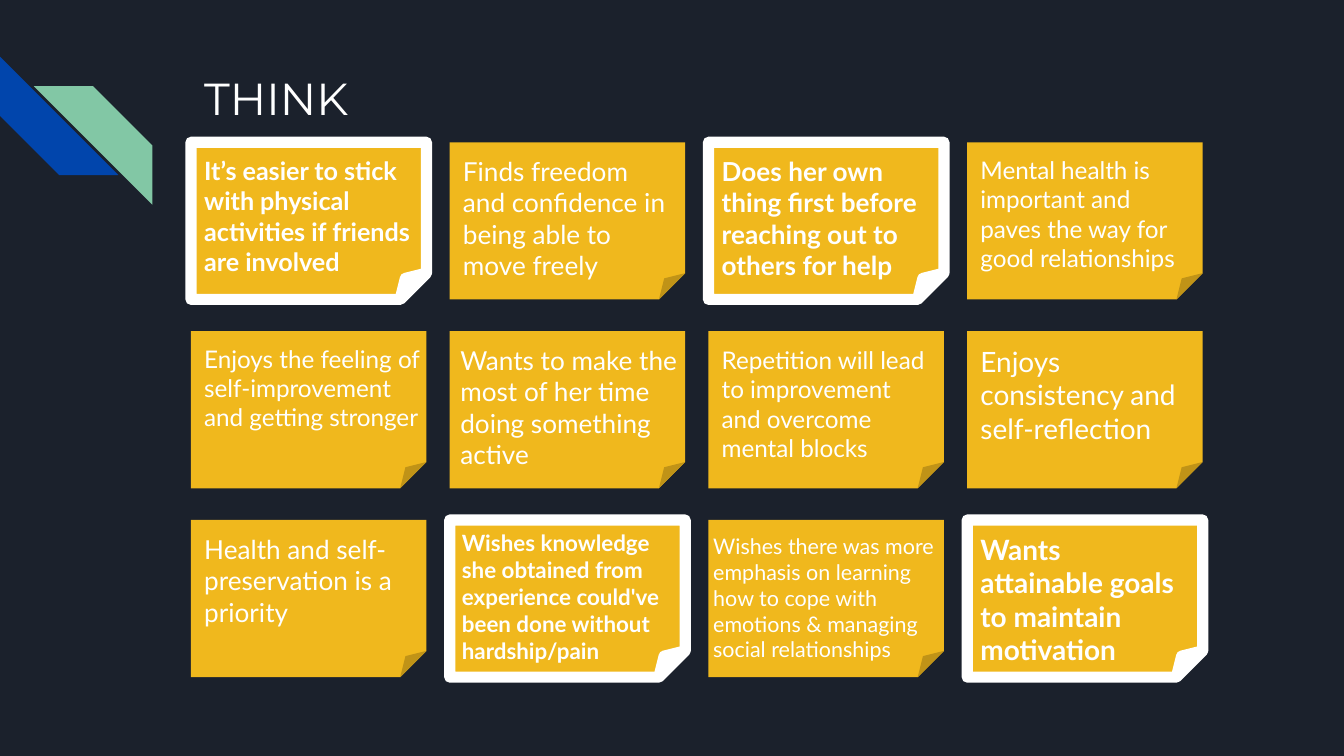
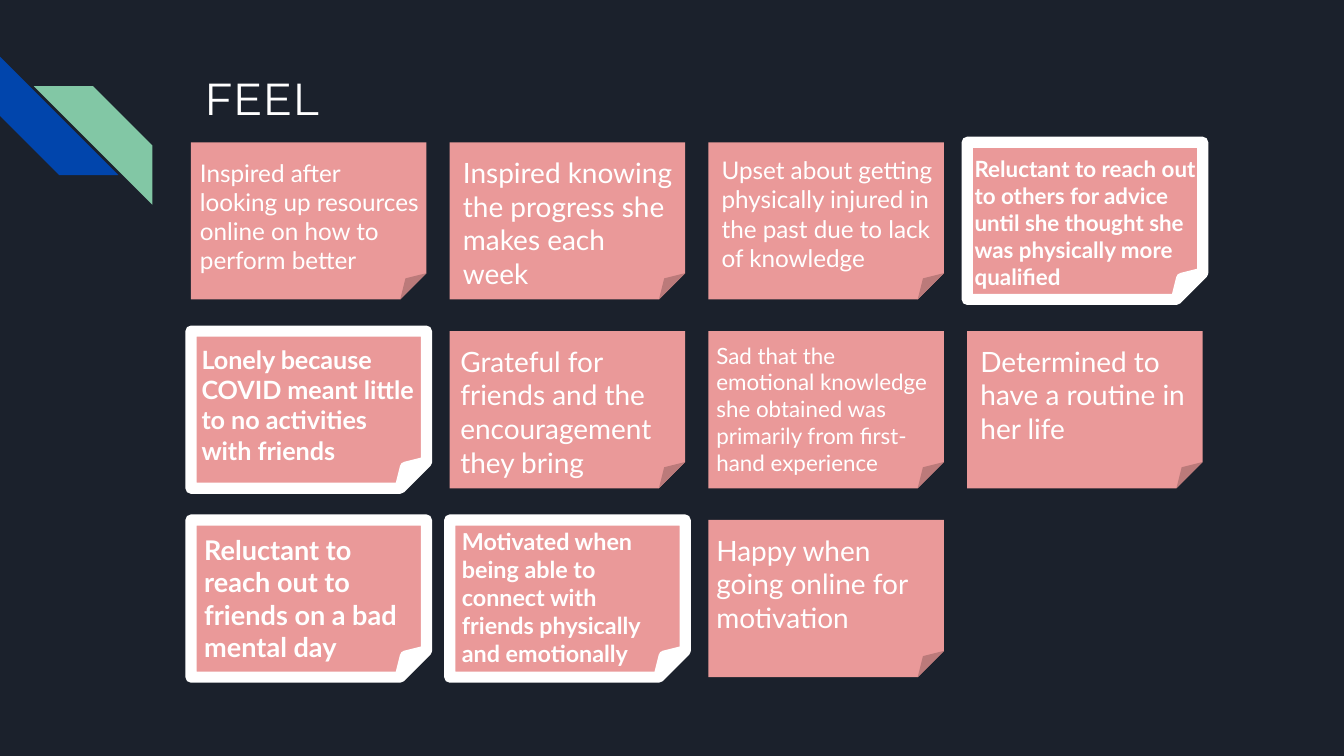
import dataclasses

import lxml.etree
import pptx
import pptx.dml.color
import pptx.enum.shapes
import pptx.enum.text
import pptx.oxml.ns
import pptx.util

Cm = pptx.util.Cm
Pt = pptx.util.Pt
Shape = pptx.enum.shapes.MSO_SHAPE
qn = pptx.oxml.ns.qn


@dataclasses.dataclass(frozen=True)
class Theme:
    background: str = "1B212C"
    text: str = "FFFFFF"
    blue: str = "0145AC"
    green: str = "82C7A5"
    think: str = "F0B81D"
    feel: str = "EA9999"
    title_font: str = "Montserrat"
    note_font: str = "Lato"
    title_size: float = 24
    outline: float = 6


@dataclasses.dataclass(frozen=True)
class Note:
    text: str
    size: float
    lines: int
    key: bool = False
    dx: float = 0
    dy: float = 0
    width: float = 4.45


class Board:
    left, top = 3.61, 2.69
    step_x, step_y = 4.89, 3.57
    note_width, note_height = 4.45, 2.97
    columns = 4
    inset = 0.25

    def __init__(self, theme):
        self.theme = theme
        self.deck = pptx.Presentation()
        self.deck.slide_width = Cm(25.4)
        self.deck.slide_height = Cm(14.29)
        self.page = None

    def color(self, value):
        return pptx.dml.color.RGBColor.from_string(value)

    def add_page(self, title, fill, notes):
        self.page = self.deck.slides.add_slide(self.deck.slide_layouts[6])
        background = self.page.background.fill
        background.solid()
        background.fore_color.rgb = self.color(self.theme.background)
        self.stripes()
        self.text(self.page.shapes, title, (self.left, 1.09, 3.35, 1.78),
                  self.theme.title_font, self.theme.title_size)
        for index, note in enumerate(notes):
            row, column = divmod(index, self.columns)
            self.note(note, fill, self.left + column * self.step_x, self.top + row * self.step_y)

    def shape(self, shapes, kind, bounds, fill):
        shape = shapes.add_shape(kind, *map(Cm, bounds))
        shape.shadow.inherit = False
        shape.fill.solid()
        shape.fill.fore_color.rgb = self.color(fill)
        shape.line.fill.background()
        return shape

    def stripes(self):
        group = self.page.shapes.add_group_shape()
        lower = self.shape(group.shapes, Shape.DIAGONAL_STRIPE, (0, 1.07, 2.24, 2.24),
                           self.theme.blue)
        lower.rotation = 270
        upper = self.shape(group.shapes, Shape.DIAGONAL_STRIPE, (0.64, 1.63, 2.24, 2.24),
                           self.theme.green)
        upper._element.spPr.find(qn("a:xfrm")).set("flipH", "1")

    def text(self, shapes, words, bounds, font, size, bold=False):
        box = shapes.add_textbox(*map(Cm, bounds))
        frame = box.text_frame
        frame.word_wrap = True
        frame.margin_left = frame.margin_right = Cm(self.inset)
        frame.margin_top = frame.margin_bottom = Cm(self.inset)
        span = frame.paragraphs[0].add_run()
        span.text = words
        span.font.name = font
        span.font.size = Pt(size)
        span.font.bold = bold
        span.font.color.rgb = self.color(self.theme.text)
        return box

    def note(self, note, fill, left, top):
        group = self.page.shapes.add_group_shape()
        paper = self.shape(group.shapes, Shape.FOLDED_CORNER,
                           (left, top, self.note_width, self.note_height), fill)
        if note.key:
            paper.line.color.rgb = self.color(self.theme.text)
            paper.line.width = Pt(self.theme.outline)
            lxml.etree.SubElement(paper._element.spPr.find(qn("a:ln")), qn("a:round"))
        height = Pt(note.lines * note.size * 1.2).cm + 2 * self.inset
        box = self.text(group.shapes, note.text,
                        (left + note.dx, top + note.dy, note.width, height),
                        self.theme.note_font, note.size, note.key)
        box.text_frame.auto_size = pptx.enum.text.MSO_AUTO_SIZE.SHAPE_TO_FIT_TEXT


THINK = [
    Note("It’s easier to stick with physical activities if friends are involved", 13.5, 4, True),
    Note("Finds freedom and confidence in being able to move freely", 14, 4, width=4.52),
    Note("Does her own thing first before reaching out to others for help", 14, 4, True),
    Note("Mental health is important and paves the way for good relationships", 13, 4),
    Note("Enjoys the feeling of self-improvement and getting stronger", 13, 3, width=4.67),
    Note("Wants to make the most of her time doing something active", 14, 4, dx=-0.05, width=4.78),
    Note("Repetition will lead to improvement and overcome mental blocks", 13, 4, dy=0.02),
    Note("Enjoys consistency and self-reflection", 15, 3),
    Note("Health and self-preservation is a priority", 14, 3),
    Note("Wishes knowledge she obtained from experience could've been done without hardship/pain",
         12, 5, True, dx=-0.02, dy=-0.07),
    Note("Wishes there was more emphasis on learning how to cope with emotions & managing "
         "social relationships", 11.5, 5, dx=-0.16, width=4.78),
    Note("Wants attainable goals to maintain motivation", 15, 4, True, dy=-0.02),
]

FEEL = [
    Note("Inspired after looking up resources online on how to perform better",
         13, 4, dx=-0.08, dy=0.05, width=4.67),
    Note("Inspired knowing the progress she makes each week", 15, 4, width=4.52),
    Note("Upset about getting physically injured in the past due to lack of knowledge",
         13, 4, width=4.67),
    Note("Reluctant to reach out to others for advice until she thought she was physically "
         "more qualified", 12, 5, True, dx=-0.11, width=4.78),
    Note("Lonely because COVID meant little to no activities with friends",
         13.5, 4, True, dx=-0.05, width=4.67),
    Note("Grateful for friends and the encouragement they bring", 15, 4, dx=-0.05, width=4.78),
    Note("Sad that the emotional knowledge she obtained was primarily from first-hand experience",
         12, 5, dx=-0.1, dy=-0.05, width=4.52),
    Note("Determined to have a routine in her life", 15, 3),
    Note("Reluctant to reach out to friends on a bad mental day", 14.5, 4, True),
    Note("Motivated when being able to connect with friends physically and emotionally",
         12.5, 5, True, dx=-0.02, dy=-0.12),
    Note("Happy when going online for motivation", 15, 3, dx=-0.1, width=4.52),
]


def main():
    board = Board(Theme())
    board.add_page("THINK", board.theme.think, THINK)
    board.add_page("FEEL", board.theme.feel, FEEL)
    board.deck.save("out.pptx")


if __name__ == "__main__":
    main()
